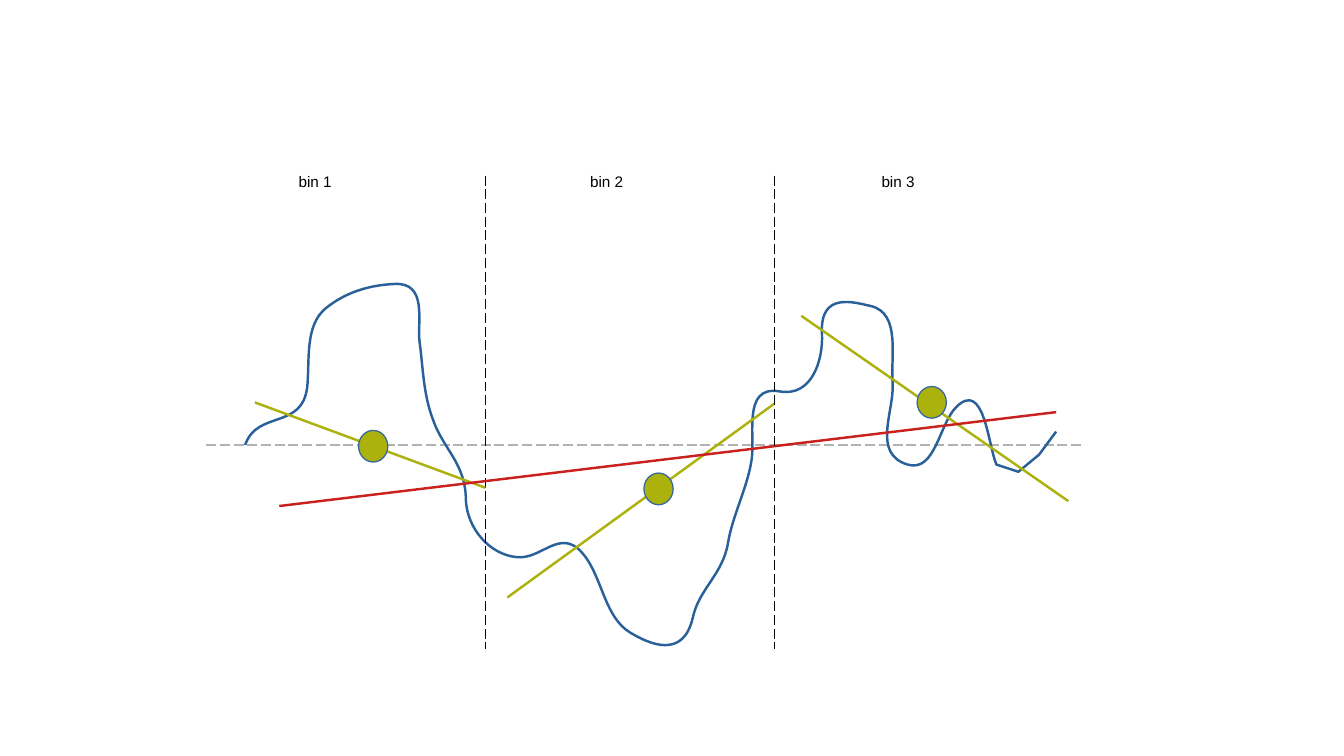
from dataclasses import dataclass

from lxml.etree import SubElement
from pptx import Presentation
from pptx.dml.color import RGBColor
from pptx.enum.dml import MSO_LINE
from pptx.enum.shapes import MSO_CONNECTOR, MSO_SHAPE
from pptx.enum.text import PP_ALIGN
from pptx.oxml.ns import qn
from pptx.util import Inches, Pt

# All positions are (column, row) on a grid of cells 0.01 inch wide and high.
COLUMNS, ROWS = 1102, 620
CELL = Inches(0.01)

BINS = [
    {"label": "bin 1", "trend": ((209, 330), (398, 400)), "dot": (306, 366)},
    {"label": "bin 2", "trend": ((416, 490), (635, 331)), "dot": (540, 401)},
    {"label": "bin 3", "trend": ((657, 259), (876, 411)), "dot": (764, 330)},
]
BASELINE = ((169, 365), (886, 365))
OVERALL_TREND = ((229, 415), (866, 338))
FIRST_DIVIDER, SECOND_DIVIDER = 398, 635
DIVIDER_TOP, DIVIDER_BOTTOM = 144, 532
LABEL_LEFT, LABEL_TOP, LABEL_PITCH = 235, 138, 239
LABEL_SIZE = (94, 56)
DOT_SIZE = (24, 26)

SIGNAL_TOP_LEFT, SIGNAL_BOTTOM_RIGHT = (201, 231), (866, 541)
SIGNAL_START = (201, 365)
# Each curve has two control points and an end point.
SIGNAL_CURVES = [
    ((211, 336), (248, 353), (252, 317)),
    ((254, 295), (250, 267), (267, 253)),
    ((283, 240), (302, 234), (323, 233)),
    ((351, 231), (342, 264), (344, 280)),
    ((347, 302), (347, 323), (355, 344)),
    ((363, 368), (382, 380), (382, 410)),
    ((383, 433), (401, 455), (424, 457)),
    ((444, 459), (459, 433), (477, 453)),
    ((494, 472), (495, 506), (517, 519)),
    ((532, 528), (560, 541), (568, 507)),
    ((573, 483), (593, 471), (597, 445)),
    ((601, 422), (612, 402), (616, 379)),
    ((620, 358), (608, 316), (639, 321)),
    ((666, 326), (675, 295), (674, 274)),
    ((672, 239), (700, 248), (714, 251)),
    ((739, 257), (730, 293), (732, 315)),
    ((733, 338), (715, 372), (744, 381)),
    ((767, 388), (770, 348), (784, 334)),
    ((807, 311), (810, 364), (817, 381)),
]
SIGNAL_TAIL = [(835, 387), (852, 373), (866, 354)]


@dataclass(frozen=True)
class Theme:
    signal: str = "2A6099"
    local: str = "ACB20C"
    dot_outline: str = "3465A4"
    overall: str = "C9211E"
    baseline: str = "B2B2B2"
    ink: str = "000000"
    font: str = "Arial"
    label_size: float = 9
    thin: float = 0.75
    thick: float = 1.45


THEME = Theme()


def cells(values):
    return [round(value * CELL) for value in values]


def style_line(line, color, width, dash=None):
    line.color.rgb = RGBColor.from_string(color)
    line.width = Pt(width)
    if dash:
        line.dash_style = dash


def add_line(slide, ends, color, width, dash=None):
    connector = slide.shapes.add_connector(MSO_CONNECTOR.STRAIGHT, *cells(ends[0] + ends[1]))
    SubElement(connector._element.spPr, qn("a:effectLst"))
    style_line(connector.line, color, width, dash)


def add_divider(slide, column):
    ends = ((column, DIVIDER_TOP), (column, DIVIDER_BOTTOM))
    add_line(slide, ends, THEME.ink, THEME.thin, MSO_LINE.LONG_DASH)


def add_text(slide, text, position, size, *, font, points, color):
    frame = slide.shapes.add_textbox(*cells(position + size)).text_frame
    frame.word_wrap = True
    paragraph = frame.paragraphs[0]
    paragraph.alignment = PP_ALIGN.LEFT
    paragraph.line_spacing = 0.93
    run = paragraph.add_run()
    run.text = text
    run.font.name = font
    run.font.size = Pt(points)
    run.font.color.rgb = RGBColor.from_string(color)


def add_dot(slide, center):
    corner = tuple(middle - length / 2 for middle, length in zip(center, DOT_SIZE))
    dot = slide.shapes.add_shape(MSO_SHAPE.OVAL, *cells(corner + DOT_SIZE))
    dot.shadow.inherit = False
    dot.fill.solid()
    dot.fill.fore_color.rgb = RGBColor.from_string(THEME.local)
    style_line(dot.line, THEME.dot_outline, THEME.thin)


def add_signal(slide):
    """Frame a freeform by its corners, then give its outline true curves."""
    builder = slide.shapes.build_freeform(*SIGNAL_TOP_LEFT, scale=CELL)
    builder.add_line_segments([SIGNAL_BOTTOM_RIGHT], close=False)
    signal = builder.convert_to_shape()
    outline = next(signal._element.iter(qn("a:path")))
    for segment in list(outline):
        outline.remove(segment)
    left, top = SIGNAL_TOP_LEFT
    segments = [("a:moveTo", [SIGNAL_START])]
    segments += [("a:cubicBezTo", curve) for curve in SIGNAL_CURVES]
    segments += [("a:lnTo", [point]) for point in SIGNAL_TAIL]
    for tag, points in segments:
        segment = SubElement(outline, qn(tag))
        for column, row in points:
            SubElement(segment, qn("a:pt"), x=str(column - left), y=str(row - top))
    signal.shadow.inherit = False
    signal.fill.background()
    style_line(signal.line, THEME.signal, THEME.thick)


def main():
    presentation = Presentation()
    presentation.slide_width, presentation.slide_height = cells((COLUMNS, ROWS))
    slide = presentation.slides.add_slide(presentation.slide_layouts[6])

    add_line(slide, BASELINE, THEME.baseline, THEME.thin, MSO_LINE.LONG_DASH)
    add_signal(slide)
    add_divider(slide, FIRST_DIVIDER)
    for section in BINS:
        add_line(slide, section["trend"], THEME.local, THEME.thick)
    for section in BINS:
        add_dot(slide, section["dot"])
    add_line(slide, OVERALL_TREND, THEME.overall, THEME.thick)
    for index, section in enumerate(BINS):
        position = (LABEL_LEFT + index * LABEL_PITCH, LABEL_TOP)
        add_text(slide, section["label"], position, LABEL_SIZE,
                 font=THEME.font, points=THEME.label_size, color=THEME.ink)
    add_divider(slide, SECOND_DIVIDER)

    presentation.save("out.pptx")


if __name__ == "__main__":
    main()
